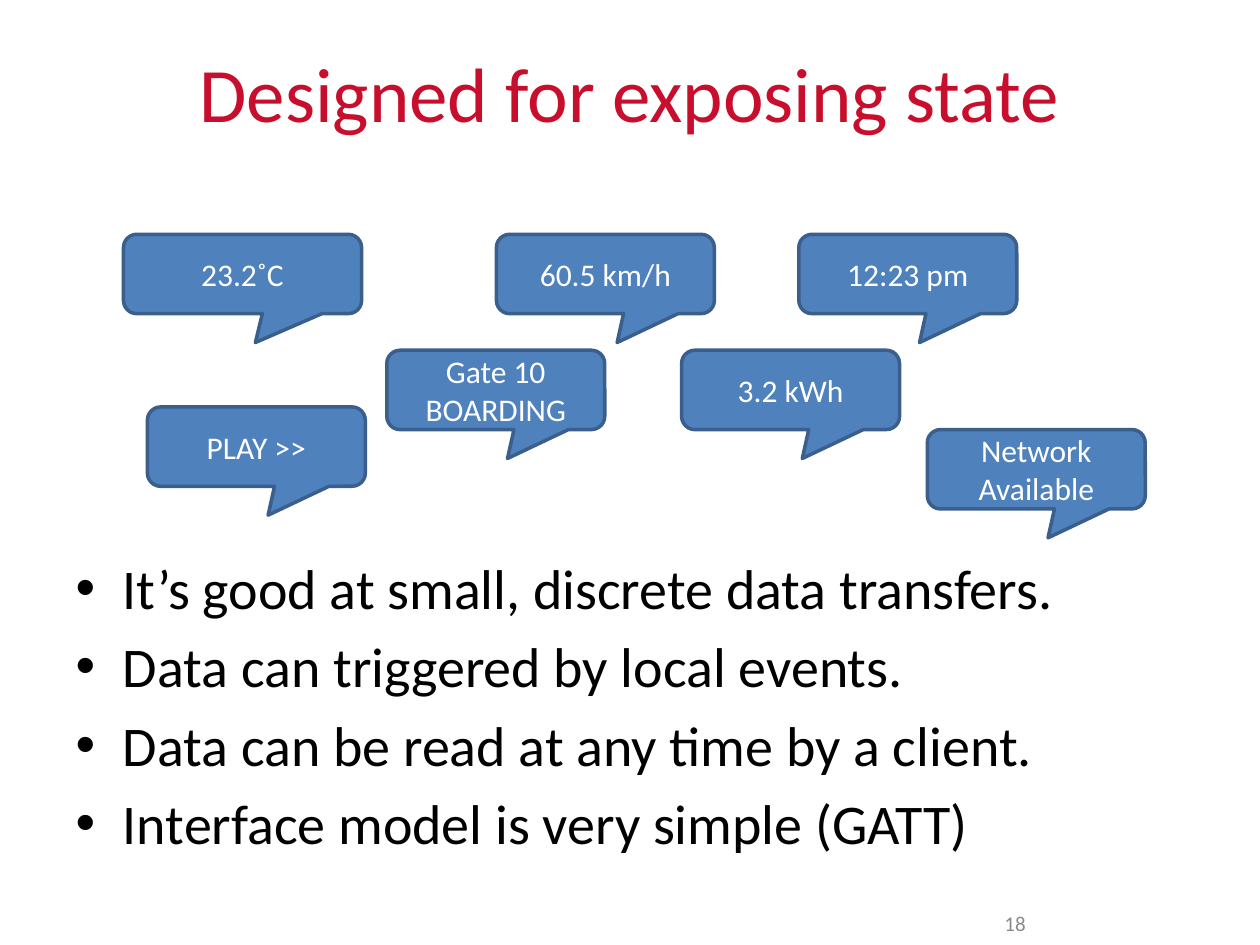
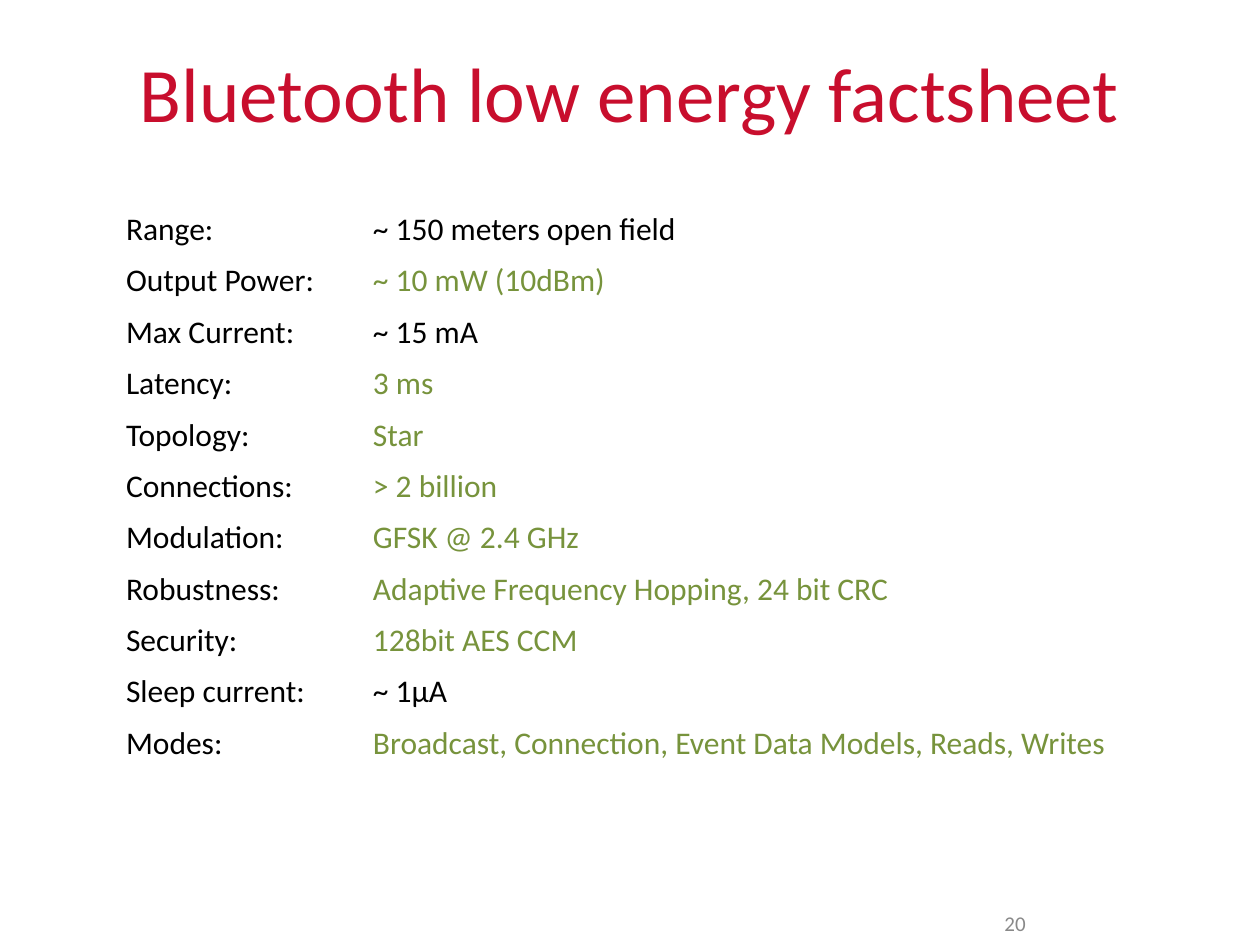
from dataclasses import dataclass

from pptx import Presentation
from pptx.dml.color import RGBColor
from pptx.enum.shapes import MSO_SHAPE
from pptx.enum.text import MSO_ANCHOR, MSO_AUTO_SIZE, PP_ALIGN
from pptx.util import Inches, Pt

RED = RGBColor(0xC8, 0x0E, 0x2D)
BLUE = RGBColor(0x4F, 0x81, 0xBD)
NAVY = RGBColor(0x3A, 0x5F, 0x8C)
GREEN = RGBColor(0x77, 0x93, 0x3C)
GREY = RGBColor(0x89, 0x89, 0x89)
BLACK = RGBColor(0x00, 0x00, 0x00)
WHITE = RGBColor(0xFF, 0xFF, 0xFF)

FACE = "Calibri"
UNIT = Inches(0.1)
COLS, ROWS = 100, 75
TAIL = (0.054, 0.864, 0.167)
MIDDLE = {"vertical_anchor": MSO_ANCHOR.MIDDLE, "word_wrap": True,
          "auto_size": MSO_AUTO_SIZE.NONE}
TOP = MIDDLE | {"vertical_anchor": MSO_ANCHOR.TOP}


@dataclass(frozen=True)
class Box:
    col: float
    row: float
    wide: float
    high: float

    def place(self) -> dict:
        names = ("left", "top", "width", "height")
        spans = (self.col, self.row, self.wide, self.high)
        return {name: round(span * UNIT) for name, span in zip(names, spans)}


@dataclass(frozen=True)
class Bubble:
    text: str
    col: float
    row: float
    wide: float = 17.3
    high: float = 6.3


@dataclass(frozen=True)
class Fact:
    label: str
    value: str
    tint: RGBColor = GREEN


TITLE = Box(5, 3, 90, 8.5)
LIST = Box(5, 43.4, 90, 24.8)
NUMBER = Box(76.8, 71.3, 5.6, 4)
GRID = Box(9, 16.2, 82.7, 44.9)
LABEL = 19.6
HIGH, LOW = 18.6, 27.8

BUBBLES = (
    Bubble("23.2˚C", 9.8, HIGH, wide=18.9),
    Bubble("Gate 10 BOARDING", 30.7, LOW),
    Bubble("12:23 pm", 63.4, HIGH),
    Bubble("60.5 km/h", 39.4, HIGH),
    Bubble("3.2 kWh", 54.1, LOW),
    Bubble("PLAY >>", 11.7, 32.3),
    Bubble("Network Available", 73.6, 34.1),
)
POINTS = (
    "It’s good at small, discrete data transfers.",
    "Data can triggered by local events.",
    "Data can be read at any time by a client.",
    "Interface model is very simple (GATT)",
)
FACTS = (
    Fact("Range:", "~ 150 meters open field", BLACK),
    Fact("Output Power:", "~ 10 mW (10dBm)"),
    Fact("Max Current:", "~ 15 mA", BLACK),
    Fact("Latency:", "3 ms"),
    Fact("Topology:", "Star"),
    Fact("Connections:", "> 2 billion"),
    Fact("Modulation:", "GFSK @ 2.4 GHz"),
    Fact("Robustness:", "Adaptive Frequency Hopping, 24 bit CRC"),
    Fact("Security:", "128bit AES CCM"),
    Fact("Sleep current:", "~ 1μA", BLACK),
    Fact("Modes:", "Broadcast, Connection, Event Data Models, Reads, Writes"),
)


def apply(item, values: dict) -> None:
    for name, value in values.items():
        setattr(item, name, value)


def write(frame, lines, size: int, tint: RGBColor, align=PP_ALIGN.LEFT) -> None:
    frame.text = "\n".join(lines)
    for para in frame.paragraphs:
        para.alignment = align
        for run in para.runs:
            apply(run.font, {"name": FACE, "size": Pt(size), "bold": False})
            run.font.color.rgb = tint


def start(deck, kind: int, title: str, number: int):
    slide = deck.slides.add_slide(deck.slide_layouts[kind])
    head = slide.shapes.title
    apply(head, TITLE.place())
    apply(head.text_frame, MIDDLE)
    write(head.text_frame, [title], 44, RED, PP_ALIGN.CENTER)
    foot = slide.shapes.add_textbox(**NUMBER.place())
    apply(foot.text_frame, MIDDLE)
    write(foot.text_frame, [str(number)], 12, GREY, PP_ALIGN.RIGHT)
    return slide


def draw_bubble(slide, spec_: Bubble) -> None:
    box = Box(spec_.col, spec_.row, spec_.wide, spec_.high)
    shape = slide.shapes.add_shape(
        MSO_SHAPE.ROUNDED_RECTANGULAR_CALLOUT, **box.place())
    for index, value in enumerate(TAIL):
        shape.adjustments[index] = value
    shape.shadow.inherit = False
    shape.fill.solid()
    shape.fill.fore_color.rgb = BLUE
    shape.line.color.rgb = NAVY
    shape.line.width = Pt(2)
    apply(shape.text_frame, MIDDLE)
    write(shape.text_frame, [spec_.text], 18, WHITE, PP_ALIGN.CENTER)


def draw_list(slide, lines) -> None:
    body = slide.placeholders[1]
    apply(body, LIST.place())
    apply(body.text_frame, TOP)
    write(body.text_frame, lines, 32, BLACK)
    body.text_frame.paragraphs[0].space_before = Pt(0)


def draw_facts(slide, facts) -> None:
    table = slide.shapes.add_table(len(facts), 2, **GRID.place()).table
    table.horz_banding = False
    for column, wide in zip(table.columns, (LABEL, GRID.wide - LABEL)):
        column.width = round(wide * UNIT)
    for row, fact in zip(table.rows, facts):
        pairs = ((fact.label, BLACK), (fact.value, fact.tint))
        for cell, (text, tint) in zip(row.cells, pairs):
            cell.fill.solid()
            cell.fill.fore_color.rgb = WHITE
            write(cell.text_frame, [text], 18, tint)


def main() -> None:
    deck = Presentation()
    apply(deck, {"slide_width": COLS * UNIT, "slide_height": ROWS * UNIT})
    state = start(deck, 1, "Designed for exposing state", 18)
    draw_list(state, POINTS)
    for bubble in BUBBLES:
        draw_bubble(state, bubble)
    sheet = start(deck, 5, "Bluetooth low energy factsheet", 20)
    draw_facts(sheet, FACTS)
    deck.save("out.pptx")


if __name__ == "__main__":
    main()
